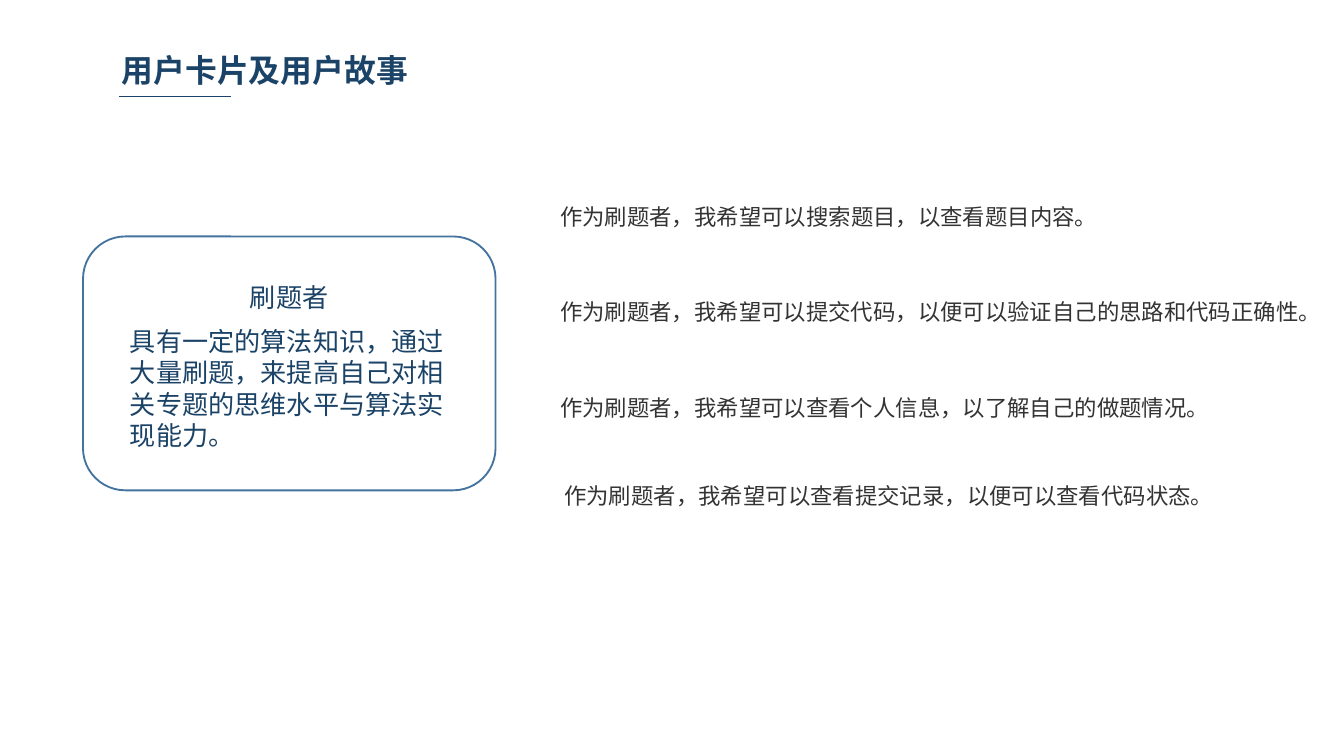
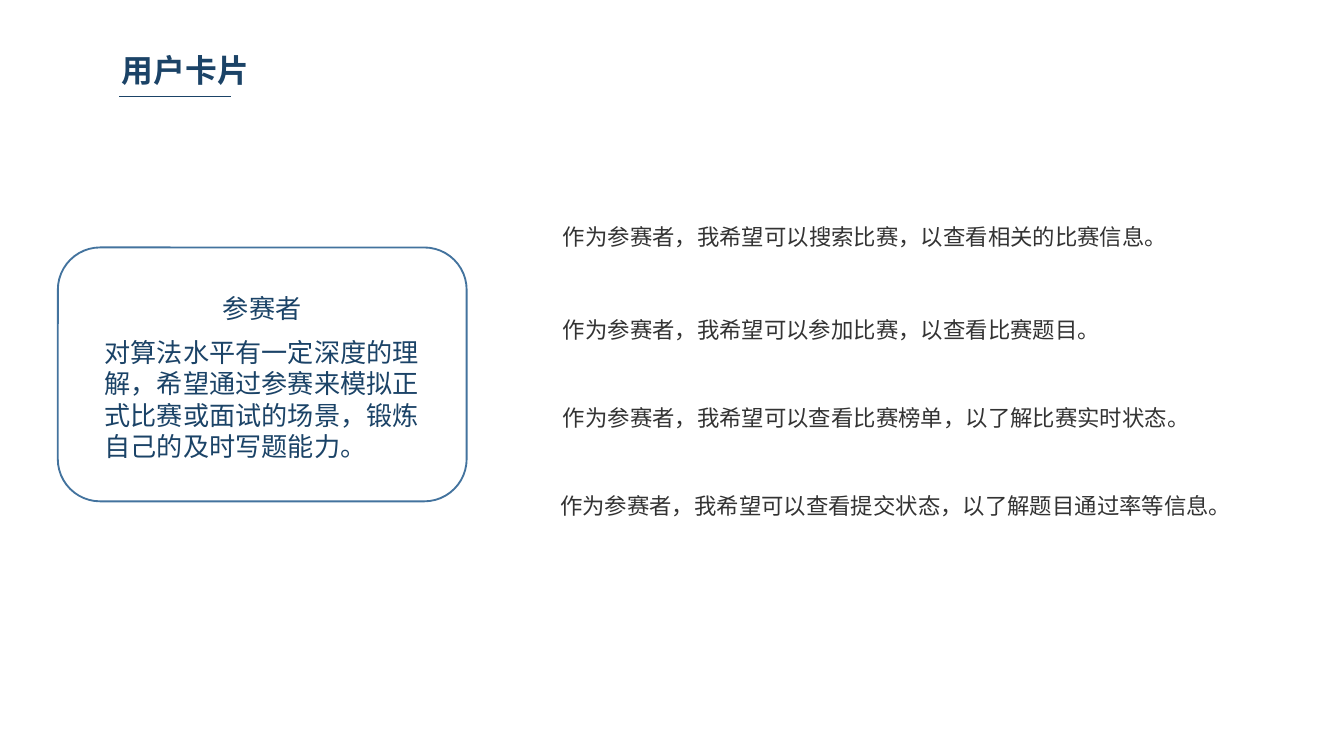
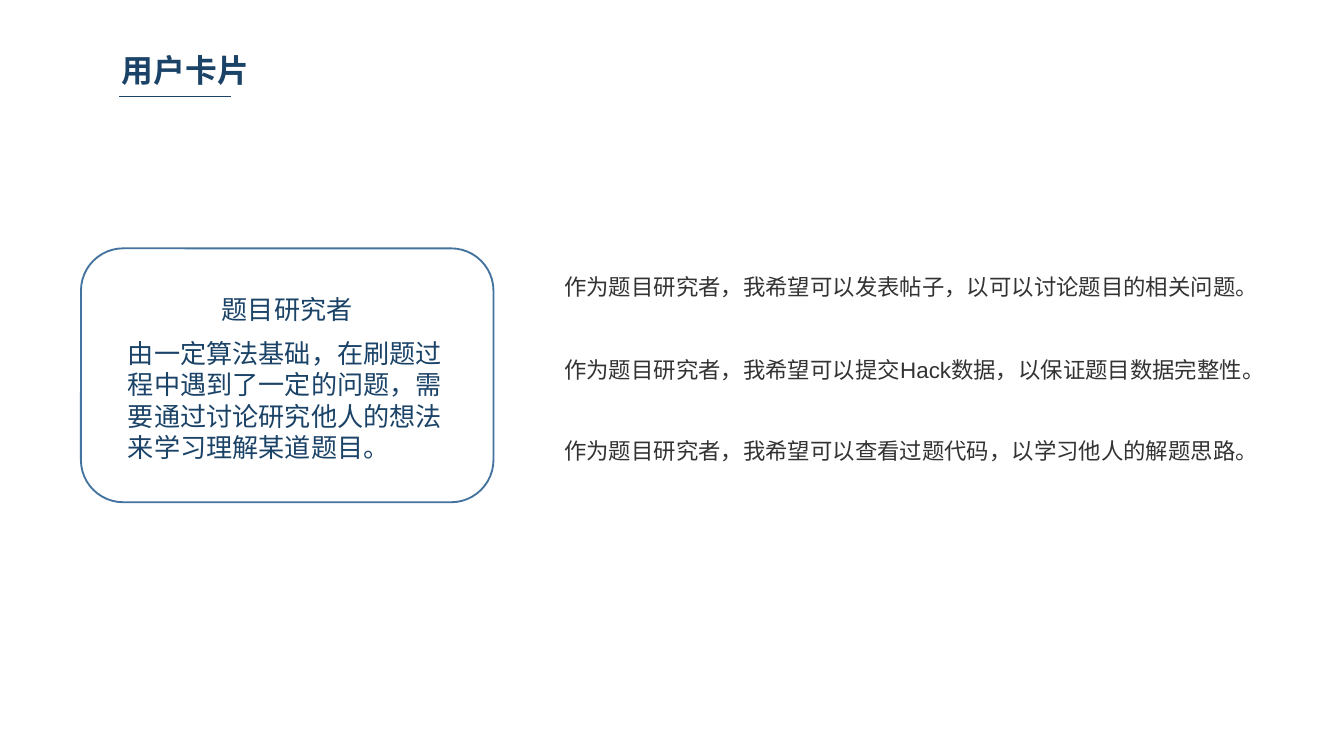
from dataclasses import dataclass

from lxml import etree
from pptx import Presentation
from pptx import util as u
from pptx.dml.color import RGBColor
from pptx.enum import shapes, text
from pptx.oxml import ns
from pptx.slide import Slide
from pptx.text.text import TextFrame

Pt = u.Pt
NAVY = "1B4367"
STEEL = "43739E"
INK = "333333"
WHITE = "FFFFFF"
HEADING_FONT = "Noto Sans CJK SC"
STORY_FONT = "Arial"

CARD_HEIGHT = 136
ROLE_INSET, ROLE_DROP, ROLE_HEIGHT = 23.25, 20.5, 24
PROFILE_INSET, PROFILE_DROP, PROFILE_HEIGHT = 18, 44, 75
STORY_HEIGHT = 21.6


@dataclass(frozen=True)
class Card:
    role: str
    profile: str
    left: float
    top: float
    width: float


@dataclass(frozen=True)
class Story:
    wish: str
    left: float
    top: float
    width: float


@dataclass(frozen=True)
class UserPage:
    title: str
    card: Card
    stories: tuple[Story, ...]


USER_PAGES = (
    UserPage(
        "用户卡片及用户故事",
        Card("刷题者", "具有一定的算法知识，通过大量刷题，来提高自己对相关专题的思维水平与算法实现能力。",
             44.5, 126.7, 221),
        (
            Story("搜索题目，以查看题目内容。", 293, 105.1, 366.5),
            Story("提交代码，以便可以验证自己的思路和代码正确性。", 293, 156.2, 451.4),
            Story("查看个人信息，以了解自己的做题情况。", 293, 207.4, 364.3),
            Story("查看提交记录，以便可以查看代码状态。", 295.2, 254.9, 459.4),
        ),
    ),
    UserPage(
        "用户卡片",
        Card("参赛者", "对算法水平有一定深度的理解，希望通过参赛来模拟正式比赛或面试的场景，锻炼自己的及时写题能力。",
             31, 132.6, 219),
        (
            Story("搜索比赛，以查看相关的比赛信息。", 294.5, 116, 339.8),
            Story("参加比赛，以查看比赛题目。", 294.5, 165.6, 432),
            Story("查看比赛榜单，以了解比赛实时状态。", 294.5, 213.1, 432),
            Story("查看提交状态，以了解题目通过率等信息。", 293, 260, 432),
        ),
    ),
    UserPage(
        "用户卡片",
        Card("题目研究者", "由一定算法基础，在刷题过程中遇到了一定的问题，需要通过讨论研究他人的想法来学习理解某道题目。",
             43.4, 133.1, 221),
        (
            Story("发表帖子，以可以讨论题目的相关问题。", 295.2, 142.6, 404),
            Story("提交Hack数据，以保证题目数据完整性。", 295.2, 187.2, 404),
            Story("查看过题代码，以学习他人的解题思路。", 295.2, 230.4, 404),
        ),
    ),
)


def color(value: str) -> RGBColor:
    return RGBColor.from_string(value)


def add_text(page: Slide, words: str, left: float, top: float, width: float, height: float,
             size: float, font: str = HEADING_FONT, ink: str = NAVY) -> TextFrame:
    box = page.shapes.add_textbox(Pt(left), Pt(top), Pt(width), Pt(height))
    frame = box.text_frame
    frame.word_wrap = True
    para = frame.paragraphs[0]
    para.text = words
    para.font.name = font
    para.font.size = Pt(size)
    para.font.color.rgb = color(ink)
    return frame


def add_title(page: Slide, title: str) -> None:
    frame = add_text(page, title, 56.2, 24.5, 281.5, 26, 17)
    frame.margin_left, frame.margin_right = Pt(9), Pt(5)
    frame.margin_top = frame.margin_bottom = Pt(2.9)
    frame.paragraphs[0].font.bold = True
    rule = page.shapes.add_connector(
        shapes.MSO_CONNECTOR.STRAIGHT, Pt(64), Pt(51.8), Pt(123.8), Pt(51.8))
    rule.line.color.rgb = color(NAVY)
    rule.line.width = Pt(0.75)
    etree.SubElement(rule.element.spPr, ns.qn("a:effectLst"))


def add_card(page: Slide, card: Card) -> None:
    outline = page.shapes.add_shape(
        shapes.MSO_SHAPE.ROUNDED_RECTANGLE,
        Pt(card.left), Pt(card.top), Pt(card.width), Pt(CARD_HEIGHT))
    outline.shadow.inherit = False
    outline.fill.solid()
    outline.fill.fore_color.rgb = color(WHITE)
    outline.line.color.rgb = color(STEEL)
    outline.line.width = Pt(1)
    role = add_text(page, card.role, card.left + ROLE_INSET, card.top + ROLE_DROP,
                    card.width - 2 * ROLE_INSET, ROLE_HEIGHT, 14)
    role.paragraphs[0].alignment = text.PP_ALIGN.CENTER
    add_text(page, card.profile, card.left + PROFILE_INSET, card.top + PROFILE_DROP,
             card.width - 2 * PROFILE_INSET + 2, PROFILE_HEIGHT, 14)


def add_story(page: Slide, role: str, story: Story) -> None:
    frame = add_text(page, f"作为{role}，我希望可以{story.wish}", story.left, story.top,
                     story.width, STORY_HEIGHT, 12, STORY_FONT, INK)
    frame.vertical_anchor = text.MSO_ANCHOR.MIDDLE


def main() -> None:
    deck = Presentation()
    deck.slide_width, deck.slide_height = Pt(720), Pt(405)
    blank = deck.slide_layouts[6]
    for user_page in USER_PAGES:
        page = deck.slides.add_slide(blank)
        add_title(page, user_page.title)
        add_card(page, user_page.card)
        for story in user_page.stories:
            add_story(page, user_page.card.role, story)
    deck.save("out.pptx")


if __name__ == "__main__":
    main()
